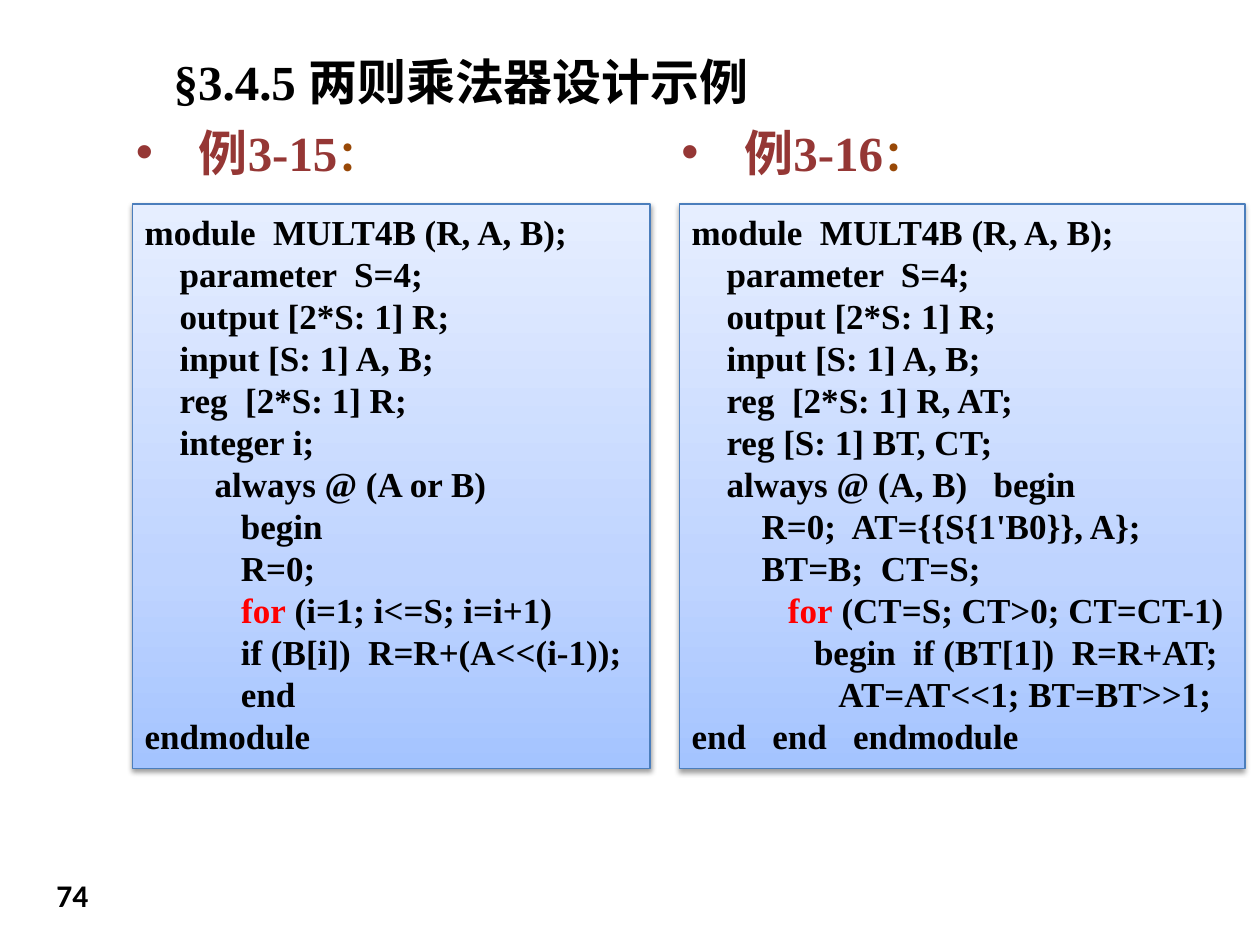
"""Build a slide with two multiplier design examples in Verilog."""
from copy import deepcopy
from dataclasses import dataclass

from lxml import etree
from pptx import Presentation
from pptx import util as u
from pptx.dml.color import RGBColor
from pptx.enum import shapes, text
from pptx.oxml import ns

LOOP = """module  MULT4B (R, A, B);
    parameter  S=4;
    output [2*S: 1] R;
    input [S: 1] A, B;
    reg  [2*S: 1] R;
    integer i;
        always @ (A or B)
           begin
           R=0;
           for (i=1; i<=S; i=i+1)
           if (B[i])  R=R+(A<<(i-1));
           end
endmodule"""

SHIFT = """module  MULT4B (R, A, B);
    parameter  S=4;
    output [2*S: 1] R;
    input [S: 1] A, B;
    reg  [2*S: 1] R, AT;
    reg [S: 1] BT, CT;
    always @ (A, B)   begin
        R=0;  AT={{S{1'B0}}, A};
        BT=B;  CT=S;
           for (CT=S; CT>0; CT=CT-1)
              begin  if (BT[1])  R=R+AT;
                 AT=AT<<1; BT=BT>>1;
end   end   endmodule"""


@dataclass(frozen=True)
class Theme:
    serif: str = "Times New Roman"
    sans: str = "Calibri"
    ink: str = "000000"
    key: str = "FF0000"
    head: str = "953735"
    colon: str = "984807"
    edge: str = "4B7EBC"
    fade: tuple = ((0, "A4C4FF"), (0.35, "BFD4FF"), (1, "E6EEFF"))
    big: int = 28
    mid: int = 24
    code: int = 20
    small: int = 18


class Deck:
    def __init__(self, theme):
        self.theme = theme
        self.show = Presentation()
        self.show.slide_width = u.Inches(10)
        self.show.slide_height = u.Inches(7.5)
        self.slide = self.show.slides.add_slide(self.show.slide_layouts[6])

    def run(self, para, words, size, color=None, face=None):
        run = para.add_run()
        run.text = words
        font = run.font
        font.name = face or self.theme.serif
        font.size = u.Pt(size)
        font.bold = True
        font.color.rgb = RGBColor.from_string(color or self.theme.ink)

    def box(self, left, top, width, height):
        frame = self.slide.shapes.add_textbox(
            *map(u.Inches, (left, top, width, height))).text_frame
        frame.word_wrap = True
        return frame.paragraphs[0]

    def label(self, words, place, size, face=None):
        self.run(self.box(*place), words, size, face=face)

    def head(self, words, left, width):
        para = self.box(left, 0.92, width, 0.94)
        props = para._p.get_or_add_pPr()
        props.set("marL", str(u.Inches(0.5)))
        props.set("indent", str(u.Inches(-0.5)))
        tint = etree.SubElement(props, ns.qn("a:buClr"))
        etree.SubElement(tint, ns.qn("a:srgbClr"), val=self.theme.head)
        etree.SubElement(props, ns.qn("a:buFont"), typeface="Arial")
        etree.SubElement(props, ns.qn("a:buChar"), char="•")
        self.run(para, words, self.theme.big, self.theme.head)
        self.run(para, "：", self.theme.mid, self.theme.colon)

    def paint(self, shape):
        shape.fill.gradient()
        shape.fill.gradient_angle = 90
        stops = shape._element.spPr.find(".//" + ns.qn("a:gsLst"))
        stops.insert(1, deepcopy(stops[0]))
        for stop, (place, color) in zip(shape.fill.gradient_stops, self.theme.fade):
            stop.position = place
            stop.color.rgb = RGBColor.from_string(color)
        shape.line.color.rgb = RGBColor.from_string(self.theme.edge)
        shape.line.width = u.Pt(0.75)

    def shade(self, shape):
        shape.shadow.inherit = False
        group = shape._element.spPr.find(ns.qn("a:effectLst"))
        outer = etree.SubElement(
            group, ns.qn("a:outerShdw"), blurRad=str(u.Pt(3.1)),
            dist=str(u.Pt(1.6)), dir="5400000", rotWithShape="0")
        tint = etree.SubElement(outer, ns.qn("a:srgbClr"), val=self.theme.ink)
        etree.SubElement(tint, ns.qn("a:alpha"), val="38000")

    def code(self, source, left, width):
        shape = self.slide.shapes.add_shape(
            shapes.MSO_SHAPE.RECTANGLE,
            *map(u.Inches, (left, 1.62, width, 4.48)))
        self.paint(shape)
        self.shade(shape)
        frame = shape.text_frame
        frame.word_wrap = True
        frame.vertical_anchor = text.MSO_ANCHOR.TOP
        for row, line in enumerate(source.splitlines()):
            para = frame.add_paragraph() if row else frame.paragraphs[0]
            para.alignment = text.PP_ALIGN.LEFT
            for part in line.partition("for"):
                if part:
                    color = self.theme.key if part == "for" else self.theme.ink
                    self.run(para, part, self.theme.code, color)


def main():
    theme = Theme()
    deck = Deck(theme)
    deck.label("§3.4.5 两则乘法器设计示例", (1.28, 0.36, 8.28, 1.26), theme.big)
    deck.head("例3-15", 0.98, 4.08)
    deck.code(LOOP, 1.05, 4.11)
    deck.code(SHIFT, 5.39, 4.49)
    deck.head("例3-16", 5.31, 4.08)
    deck.label("74", (0.35, 6.9, 0.63, 0.45), theme.small, theme.sans)
    deck.show.save("out.pptx")


if __name__ == "__main__":
    main()
